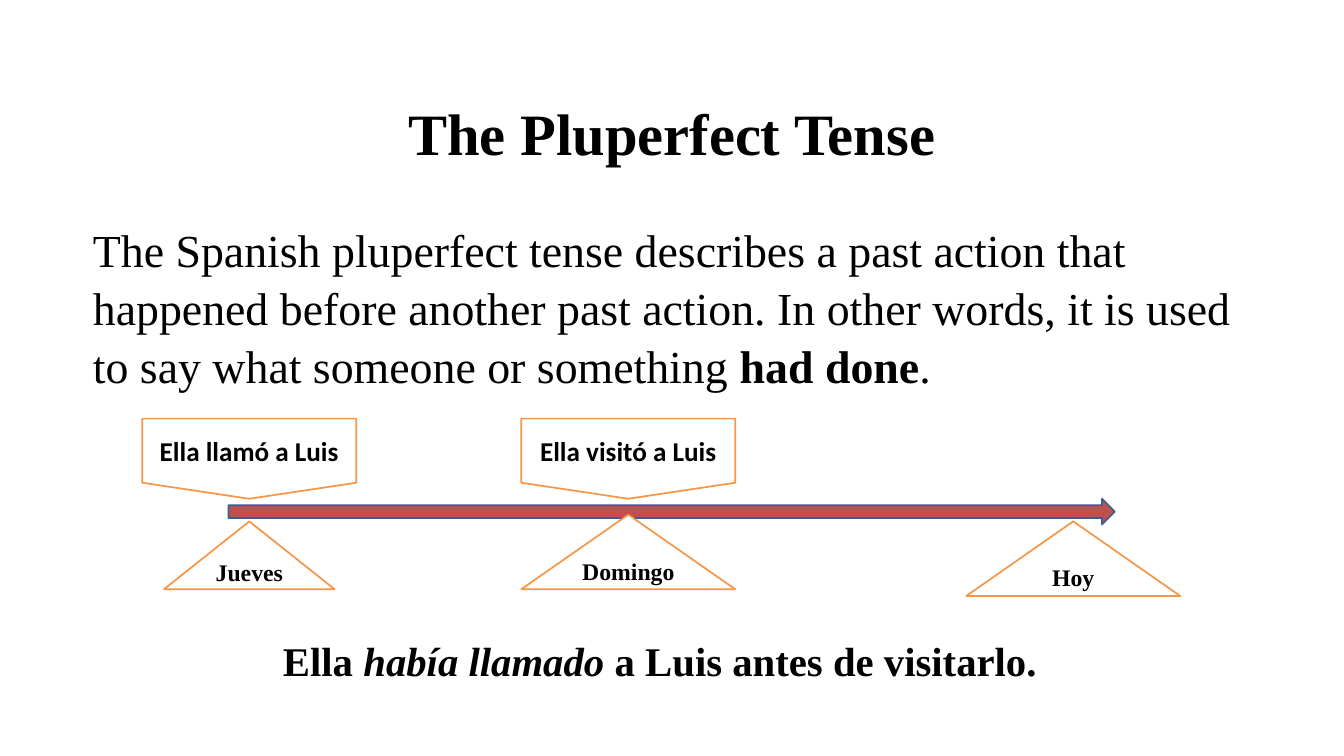
"""Build a slide that explains the Spanish pluperfect tense with a timeline."""
import dataclasses

import lxml.etree
import pptx
import pptx.dml.color
import pptx.enum.shapes
import pptx.enum.text
import pptx.oxml.ns
import pptx.util

Cm = pptx.util.Cm
Pt = pptx.util.Pt
Shape = pptx.enum.shapes.MSO_SHAPE
Align = pptx.enum.text.PP_ALIGN
Anchor = pptx.enum.text.MSO_ANCHOR


@dataclasses.dataclass(frozen=True)
class Theme:
    serif: str = "Times New Roman"
    sans: str = "Calibri"
    ink: str = "000000"
    paper: str = "FFFFFF"
    marker_line: str = "F79646"
    arrow_fill: str = "C0504D"
    arrow_line: str = "3A5F8C"
    line_width: float = 2
    line_spacing: float = 1.05
    title_size: int = 69
    body_size: int = 54
    sentence_size: int = 48
    event_size: int = 32
    day_size: int = 28


class SlideBuilder:
    def __init__(self, slide, theme):
        self.slide = slide
        self.theme = theme

    def color(self, value):
        return pptx.dml.color.RGBColor.from_string(value)

    def place(self, shape, left, top, width, height):
        shape.left, shape.top = Cm(left), Cm(top)
        shape.width, shape.height = Cm(width), Cm(height)

    def add_text(self, shape, spans, size, font, align, anchor):
        frame = shape.text_frame
        frame.word_wrap = True
        frame.auto_size = pptx.enum.text.MSO_AUTO_SIZE.NONE
        frame.vertical_anchor = anchor
        frame.margin_left = frame.margin_right = Cm(0.25)
        para = frame.paragraphs[0]
        para.alignment = align
        for text, bold, italic in spans:
            span = para.add_run()
            span.text = text
            span.font.name = font
            span.font.size = Pt(size)
            span.font.bold = bold
            span.font.italic = italic
            span.font.color.rgb = self.color(self.theme.ink)
        return para

    def prose(self, box, bounds, spans, size, align):
        self.place(box, *bounds)
        para = self.add_text(box, spans, size, self.theme.serif, align, Anchor.TOP)
        box.text_frame.margin_top = Cm(0.25)
        para.space_before = Pt(0)
        para.line_spacing = self.theme.line_spacing
        return para

    def title(self, bounds, text):
        self.prose(self.slide.shapes.title, bounds, [(text, True, False)],
                   self.theme.title_size, Align.CENTER)

    def body(self, bounds, spans):
        para = self.prose(self.slide.placeholders[1], bounds, spans,
                          self.theme.body_size, Align.LEFT)
        properties = para._p.get_or_add_pPr()
        properties.set("marL", "0")
        properties.set("indent", "0")
        lxml.etree.SubElement(properties, pptx.oxml.ns.qn("a:buNone"))

    def sentence(self, bounds, spans):
        box = self.slide.shapes.add_textbox(0, 0, 0, 0)
        self.prose(box, bounds, spans, self.theme.sentence_size, Align.LEFT)

    def shape(self, kind, bounds, fill, line):
        shape = self.slide.shapes.add_shape(kind, 0, 0, 0, 0)
        self.place(shape, *bounds)
        shape.shadow.inherit = False
        shape.fill.solid()
        shape.fill.fore_color.rgb = self.color(fill)
        shape.line.color.rgb = self.color(line)
        shape.line.width = Pt(self.theme.line_width)
        return shape

    def arrow(self, bounds):
        self.shape(Shape.RIGHT_ARROW, bounds,
                   self.theme.arrow_fill, self.theme.arrow_line)

    def marker(self, kind, center, top, width, height, text, size, font):
        shape = self.shape(kind, (center - width / 2, top, width, height),
                           self.theme.paper, self.theme.marker_line)
        self.add_text(shape, [(text, True, False)], size, font,
                      Align.CENTER, Anchor.MIDDLE)

    def event(self, center, text):
        self.marker(Shape.FLOWCHART_OFFPAGE_CONNECTOR, center, 17.4, 8.89, 3.33,
                    text, self.theme.event_size, self.theme.sans)

    def day(self, center, top, width, height, text):
        self.marker(Shape.FLOWCHART_EXTRACT, center, top, width, height,
                    text, self.theme.day_size, self.theme.serif)


deck = pptx.Presentation()
deck.slide_width, deck.slide_height = Cm(55.85), Cm(31.42)
page = SlideBuilder(deck.slides.add_slide(deck.slide_layouts[1]), Theme())

page.title((16.61, 3.63, 22.63, 3.2), "The Pluperfect Tense")
page.body((3.61, 8.86, 48.44, 9.5), [
    ("The Spanish pluperfect tense describes a past action that happened "
     "before another past action. In other words, it is used to say what "
     "someone or something\u00a0", False, False),
    ("had done", True, False),
    (".", False, False),
])

thursday, sunday, today = 10.36, 26.11, 44.6
page.arrow((9.5, 20.73, 36.83, 1.07))
for center, text in ((thursday, "Ella llamó a Luis"),
                     (sunday, "Ella visitó a Luis")):
    page.event(center, text)

page.sentence((11.51, 26.09, 32.87, 2.31), [
    ("Ella ", True, False),
    ("había llamado ", True, True),
    ("a Luis antes de visitarlo.", True, False),
])

for day in ((thursday, 21.67, 7.09, 2.82, "Jueves"),
            (sunday, 21.39, 8.89, 3.1, "Domingo"),
            (today, 21.67, 8.89, 3.1, "Hoy")):
    page.day(*day)

deck.save("out.pptx")
